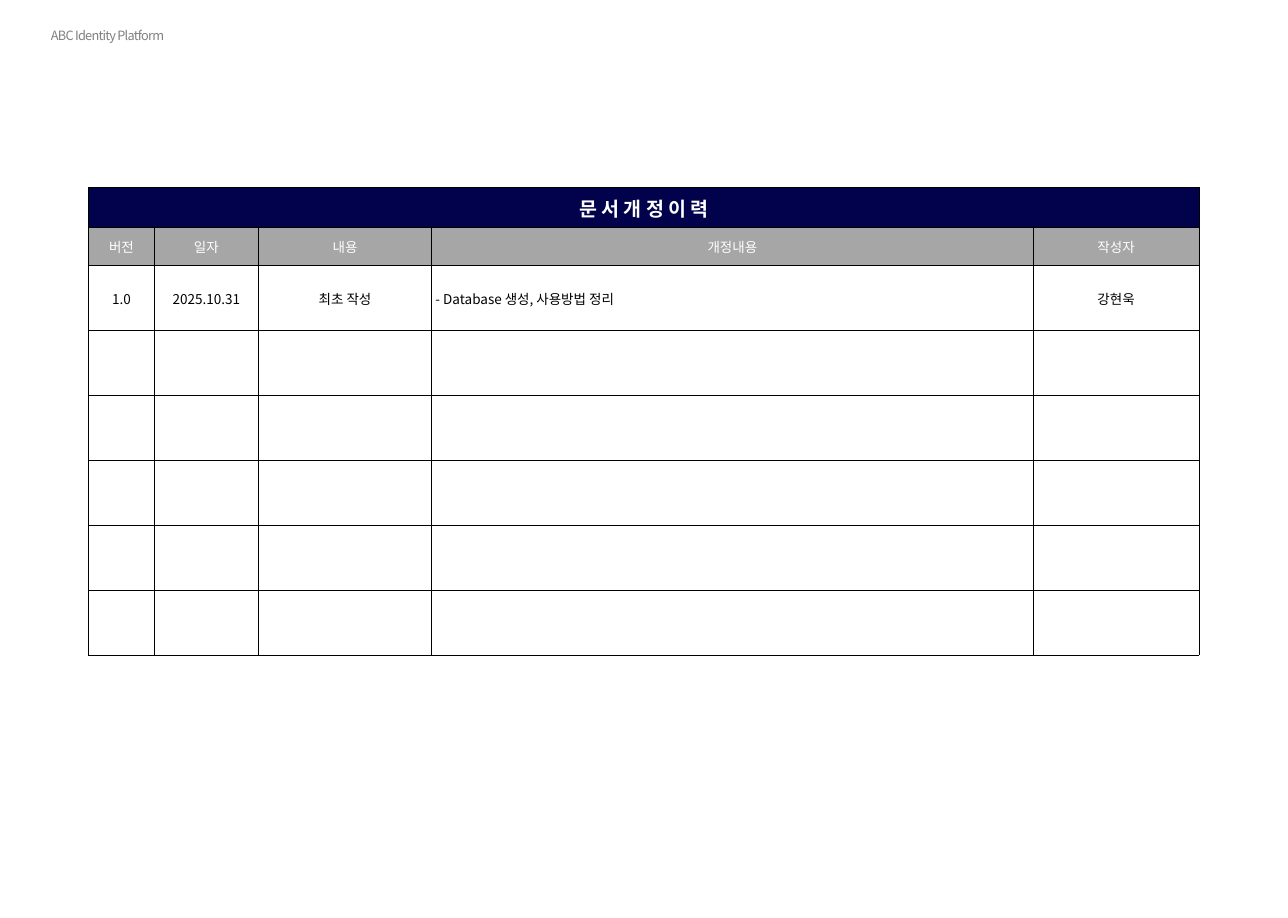
from lxml import etree
from pptx import Presentation
from pptx.dml.color import RGBColor
from pptx.enum.text import MSO_ANCHOR, PP_ALIGN
from pptx.oxml.ns import qn
from pptx.util import Pt

CENTER, LEFT = PP_ALIGN.CENTER, PP_ALIGN.LEFT
MIDDLE = MSO_ANCHOR.MIDDLE
FONT = "Noto Sans CJK KR"
COLORS = {
    "navy": "01014C",
    "gray": "A6A6A6",
    "label": "808080",
    "white": "FFFFFF",
    "black": "000000",
}
COLUMN_WIDTHS = [44, 69.25, 115.75, 401, 110.75]
TITLE_HEIGHT, HEADING_HEIGHT, ENTRY_HEIGHT = 26.8, 25.2, 43.3
ENTRY_ROWS = 6
TITLE = "문 서 개 정 이 력"
HEADINGS = ["버전", "일자", "내용", "개정내용", "작성자"]
REVISIONS = [
    ["1.0", "2025.10.31", "최초 작성", "- Database 생성, 사용방법 정리", "강현욱"],
]
DETAIL_COLUMN = HEADINGS.index("개정내용")


def write_text(frame, words, size, color, align=LEFT, bold=False, spacing=0):
    """Write one run of text into the first paragraph of a frame."""
    paragraph = frame.paragraphs[0]
    paragraph.alignment = align
    run = paragraph.add_run()
    run.text = words
    run.font.size = Pt(size)
    run.font.bold = bold
    run.font.name = FONT
    run.font.color.rgb = RGBColor.from_string(COLORS[color])
    properties = run.font._element
    properties.find(qn("a:latin")).addnext(
        etree.Element(qn("a:ea"), typeface=FONT))
    if spacing:
        properties.set("spc", str(int(spacing * 100)))


def add_page_label(slide, words):
    """Add the small document name at the top left."""
    label = slide.shapes.add_textbox(Pt(34), Pt(18.72), Pt(231), Pt(10))
    frame = label.text_frame
    frame.word_wrap = True
    frame.vertical_anchor = MIDDLE
    frame.margin_left = frame.margin_right = 0
    frame.margin_top = frame.margin_bottom = 0
    write_text(frame, words, 8.5, "label", spacing=-0.5)


def format_cell(cell, fill=None):
    """Set the borders, margins and fill of a table cell."""
    properties = cell._tc.get_or_add_tcPr()
    for side in ("lnL", "lnR", "lnT", "lnB"):
        line = etree.SubElement(properties, qn(f"a:{side}"), w=str(Pt(0.5)))
        solid = etree.SubElement(line, qn("a:solidFill"))
        etree.SubElement(solid, qn("a:srgbClr"), val=COLORS["black"])
    if fill:
        cell.fill.solid()
        cell.fill.fore_color.rgb = RGBColor.from_string(COLORS[fill])
    else:
        cell.fill.background()
    cell.vertical_anchor = MIDDLE
    cell.margin_left = cell.margin_right = cell.margin_top = Pt(0.75)
    cell.margin_bottom = 0


def add_revision_table(slide):
    """Add the revision history with its title, headings and entries."""
    heights = [TITLE_HEIGHT, HEADING_HEIGHT] + [ENTRY_HEIGHT] * ENTRY_ROWS
    table = slide.shapes.add_table(
        len(heights), len(COLUMN_WIDTHS), Pt(59), Pt(125),
        Pt(sum(COLUMN_WIDTHS)), Pt(sum(heights))).table
    table.first_row = table.horz_banding = False
    for column, width in zip(table.columns, COLUMN_WIDTHS):
        column.width = Pt(width)
    for index, (row, height) in enumerate(zip(table.rows, heights)):
        row.height = Pt(height)
        for cell in row.cells:
            format_cell(cell, {0: "navy", 1: "gray"}.get(index))

    title = table.cell(0, 0)
    title.merge(table.cell(0, len(COLUMN_WIDTHS) - 1))
    write_text(title.text_frame, TITLE, 13, "white", CENTER, bold=True)
    for column, heading in enumerate(HEADINGS):
        write_text(table.cell(1, column).text_frame, heading, 9, "white", CENTER)
    for row, revision in enumerate(REVISIONS, start=2):
        for column, words in enumerate(revision):
            align = LEFT if column == DETAIL_COLUMN else CENTER
            write_text(table.cell(row, column).text_frame, words, 9, "black", align)
        table.cell(row, DETAIL_COLUMN).margin_left = Pt(2.5)


def main():
    """Build the revision history slide."""
    deck = Presentation()
    deck.slide_width, deck.slide_height = Pt(859), Pt(612)
    slide = deck.slides.add_slide(deck.slide_layouts[6])
    add_page_label(slide, "ABC Identity Platform")
    add_revision_table(slide)
    deck.save("out.pptx")


if __name__ == "__main__":
    main()
